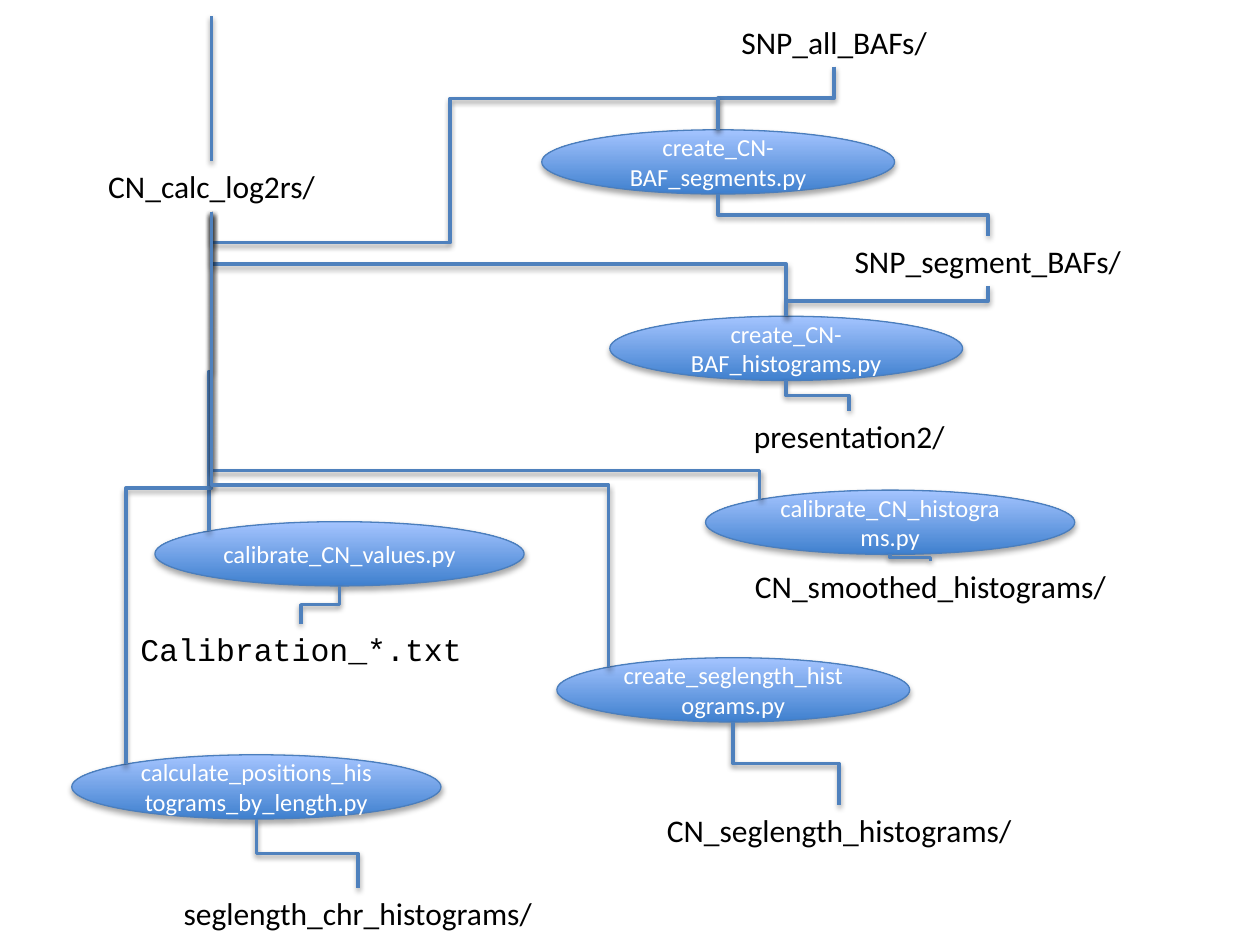
from dataclasses import dataclass
from math import cos, pi, sin

from lxml import etree
from pptx import Presentation
from pptx import util as u
from pptx.dml.color import RGBColor
from pptx.enum import shapes, text
from pptx.oxml.ns import qn


@dataclass(frozen=True)
class Theme:
    font: str = "Calibri"
    code_font: str = "Courier New"
    folder_size: int = 18
    script_size: int = 14
    ink: str = "000000"
    script_ink: str = "FFFFFF"
    gradient: tuple = ("3F80CE", "A4C4FF")
    outline: str = "4B7EBC"
    wire: str = "4F81BD"
    outline_width: float = 0.75
    wire_width: float = 2
    folder_height: float = 0.4
    script_height: float = 0.51


@dataclass(frozen=True)
class Node:
    shape: object
    left: float
    top: float
    width: float
    height: float
    oval: bool

    @property
    def bottom_site(self):
        return 4 if self.oval else 2

    def point(self, site):
        angle = pi / 2 + site * pi / (4 if self.oval else 2)
        return (self.left + self.width / 2 * (1 + cos(angle)),
                self.top + self.height / 2 * (1 - sin(angle)))


class FlowSlide:
    def __init__(self, slide, theme):
        self.slide = slide
        self.theme = theme

    def label(self, shape, words, font, size, color):
        frame = shape.text_frame
        frame.word_wrap = True
        paragraph = frame.paragraphs[0]
        paragraph.alignment = text.PP_ALIGN.CENTER
        run = paragraph.add_run()
        run.text = words
        run.font.name = font
        run.font.size = u.Pt(size)
        run.font.color.rgb = RGBColor.from_string(color)
        return frame

    def cast_shadow(self, properties, distance, opacity):
        for old in properties.findall(qn("a:effectLst")):
            properties.remove(old)
        effects = etree.SubElement(properties, qn("a:effectLst"))
        shadow = etree.SubElement(
            effects, qn("a:outerShdw"), blurRad="40000", dist=str(distance),
            dir="5400000", rotWithShape="0")
        color = etree.SubElement(shadow, qn("a:srgbClr"), val=self.theme.ink)
        etree.SubElement(color, qn("a:alpha"), val=str(opacity * 1000))

    def folder(self, words, left, top, width, font=None):
        theme = self.theme
        box = (left, top, width, theme.folder_height)
        shape = self.slide.shapes.add_textbox(*map(u.Inches, box))
        frame = self.label(shape, words, font or theme.font, theme.folder_size, theme.ink)
        frame.auto_size = text.MSO_AUTO_SIZE.SHAPE_TO_FIT_TEXT
        return Node(shape, *box, oval=False)

    def script(self, words, left, top, width):
        theme = self.theme
        box = (left, top, width, theme.script_height)
        shape = self.slide.shapes.add_shape(shapes.MSO_SHAPE.OVAL, *map(u.Inches, box))
        shape.shadow.inherit = False
        shape.fill.gradient()
        shape.fill.gradient_angle = 90
        for stop, color, position in zip(shape.fill.gradient_stops, theme.gradient, (0, 1)):
            stop.color.rgb = RGBColor.from_string(color)
            stop.position = position
        shape.line.color.rgb = RGBColor.from_string(theme.outline)
        shape.line.width = u.Pt(theme.outline_width)
        self.cast_shadow(shape.element.spPr, 23000, 35)
        frame = self.label(shape, words, theme.font, theme.script_size, theme.script_ink)
        frame.vertical_anchor = text.MSO_ANCHOR.MIDDLE
        return Node(shape, *box, oval=True)

    def elbow(self, start, end, bends=(0.5,)):
        (x1, y1), (x2, y2) = start, end
        dx, dy = x2 - x1, y2 - y1
        turn = 270 if dx > 0 and dy > 0 else 90
        sign = 1 if turn == 90 else -1
        center_x, center_y = (x1 + x2) / 2, (y1 + y2) / 2
        half_x, half_y = sign * dy / 2, -sign * dx / 2
        corners = (center_x - half_x, center_y - half_y,
                   center_x + half_x, center_y + half_y)
        connector = self.slide.shapes.add_connector(
            shapes.MSO_CONNECTOR.ELBOW, *map(u.Inches, corners))
        connector.line.color.rgb = RGBColor.from_string(self.theme.wire)
        connector.line.width = u.Pt(self.theme.wire_width)
        properties = connector.element.spPr
        properties.find(qn("a:xfrm")).set("rot", str(turn * 60000))
        geometry = properties.find(qn("a:prstGeom"))
        geometry.set("prst", f"bentConnector{len(bends) + 2}")
        guides = geometry.find(qn("a:avLst"))
        if guides is None:
            guides = etree.SubElement(geometry, qn("a:avLst"))
        for number, bend in enumerate(bends, 1):
            etree.SubElement(guides, qn("a:gd"), name=f"adj{number}",
                             fmla=f"val {round(bend * 100000)}")
        self.cast_shadow(properties, 20000, 38)
        return connector

    def attach(self, connector, tag, node, site):
        links = connector.element.find(".//" + qn("p:cNvCxnSpPr"))
        etree.SubElement(links, qn(tag), id=str(node.shape.shape_id), idx=str(site))

    def connect(self, source, target, site=0, bends=(0.5,)):
        exit_site = source.bottom_site
        connector = self.elbow(source.point(exit_site), target.point(site), bends)
        self.attach(connector, "a:stCxn", source, exit_site)
        self.attach(connector, "a:endCxn", target, site)


def main():
    presentation = Presentation()
    presentation.slide_width = u.Inches(10)
    presentation.slide_height = u.Inches(7.5)
    slide = presentation.slides.add_slide(presentation.slide_layouts[6])
    theme = Theme()
    flow = FlowSlide(slide, theme)

    log2rs = flow.folder("CN_calc_log2rs/", 0.5, 1.28, 2.36)
    all_bafs = flow.folder("SNP_all_BAFs/", 5.44, 0.13, 2.36)
    segment_bafs = flow.folder("SNP_segment_BAFs/", 6.66, 1.87, 2.36)
    presentation2 = flow.folder("presentation2/", 5.64, 3.26, 2.2)
    calibration = flow.folder("Calibration_*.txt", 0.67, 4.95, 3.44, theme.code_font)
    smoothed = flow.folder("CN_smoothed_histograms/", 5.82, 4.45, 3.13)
    chr_histograms = flow.folder("seglength_chr_histograms/", 1.12, 7.05, 3.44)
    seglength = flow.folder("CN_seglength_histograms/", 4.94, 6.39, 3.44)

    make_segments = flow.script("create_CN-BAF_segments.py", 4.3, 1.03, 2.8)
    make_histograms = flow.script("create_CN-BAF_histograms.py", 4.84, 2.51, 2.8)
    calibrate_values = flow.script("calibrate_CN_values.py", 1.23, 4.14, 2.93)
    calibrate_histograms = flow.script("calibrate_CN_histograms.py", 5.6, 3.89, 2.93)
    by_length = flow.script("calculate_positions_histograms_by_length.py", 0.57, 5.99, 2.93)
    make_seglength = flow.script("create_seglength_histograms.py", 4.42, 5.22, 2.8)

    for source, target in (
        (make_segments, segment_bafs),
        (all_bafs, make_segments),
        (log2rs, make_histograms),
        (segment_bafs, make_histograms),
        (make_histograms, presentation2),
        (calibrate_values, calibration),
        (calibrate_histograms, smoothed),
        (by_length, chr_histograms),
        (make_seglength, seglength),
    ):
        flow.connect(source, target)

    flow.connect(log2rs, make_segments, bends=(-0.38, 0.47, 1.38))
    for target, bend in (
        (calibrate_values, 0.5),
        (calibrate_histograms, 0.9),
        (by_length, 0.5),
        (make_seglength, 0.6),
    ):
        flow.connect(log2rs, target, site=1, bends=(bend,))

    entry = flow.elbow((1.68, 0.13), log2rs.point(0))
    flow.attach(entry, "a:endCxn", log2rs, 0)

    presentation.save("out.pptx")


if __name__ == "__main__":
    main()
